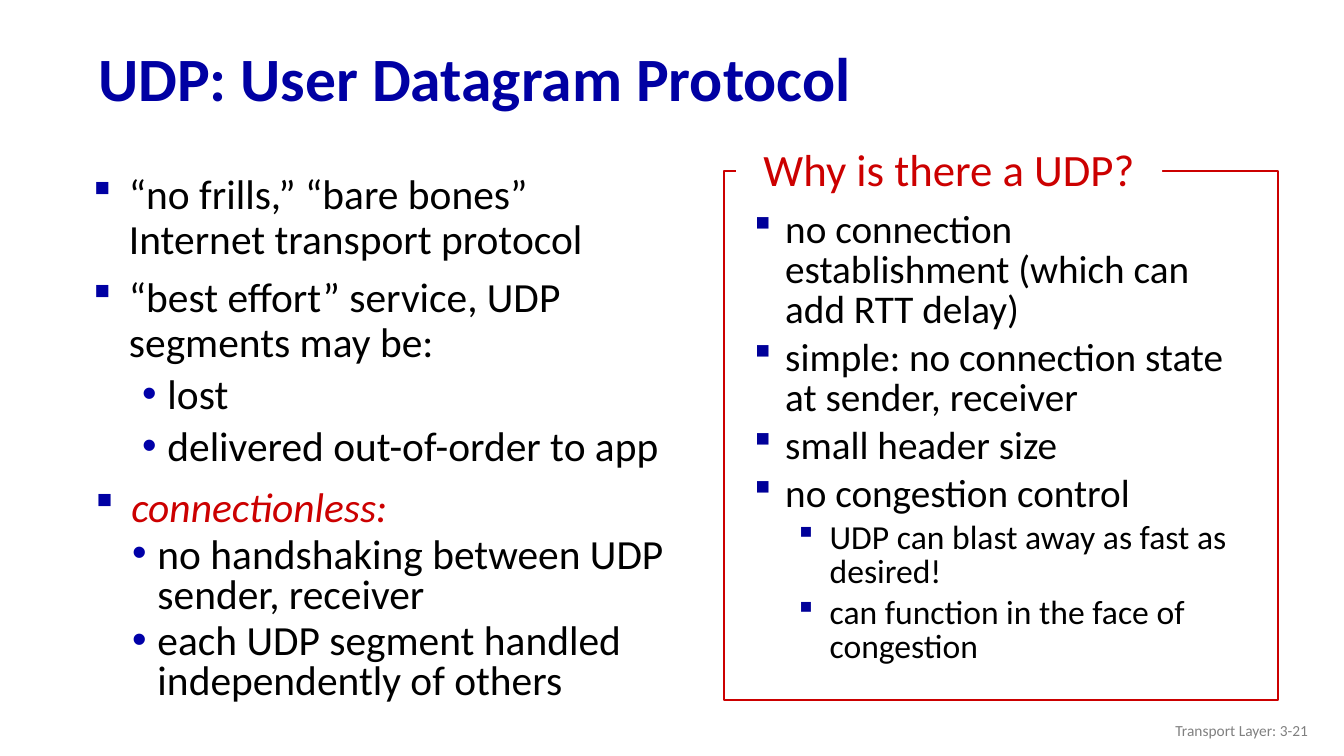
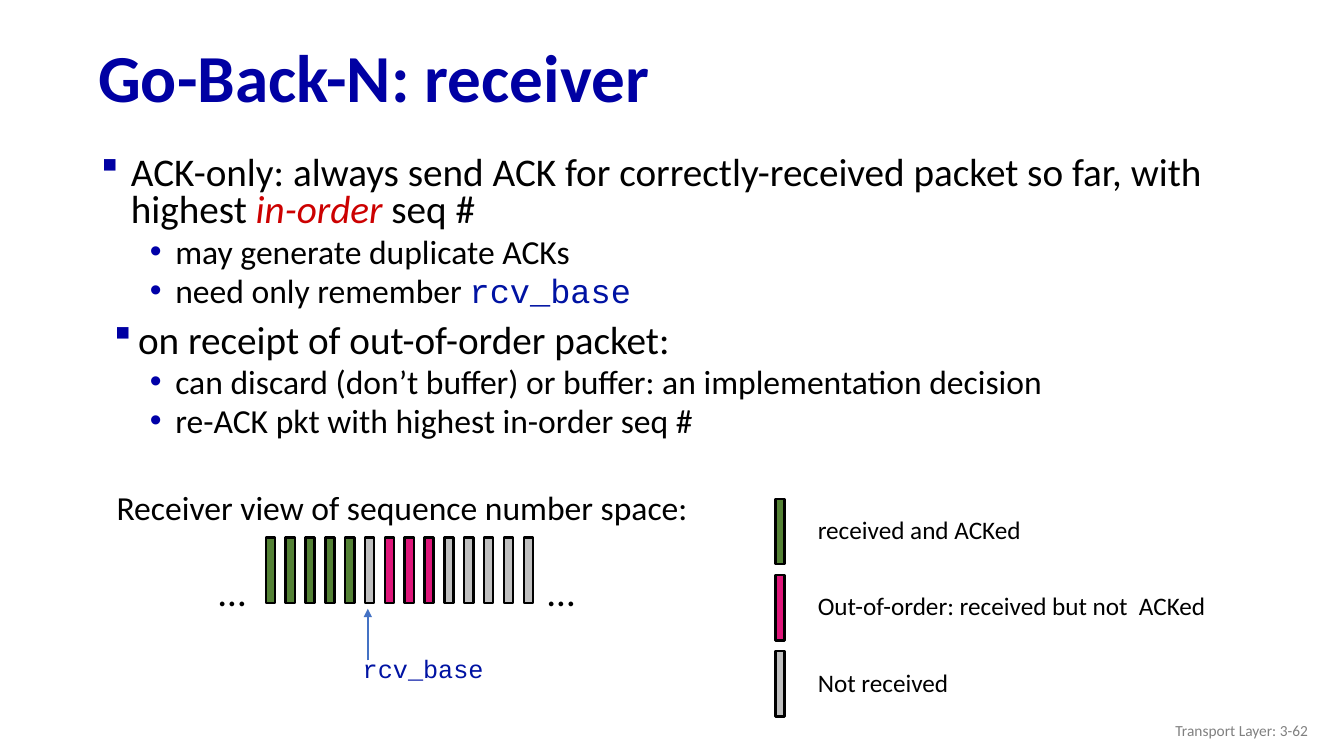
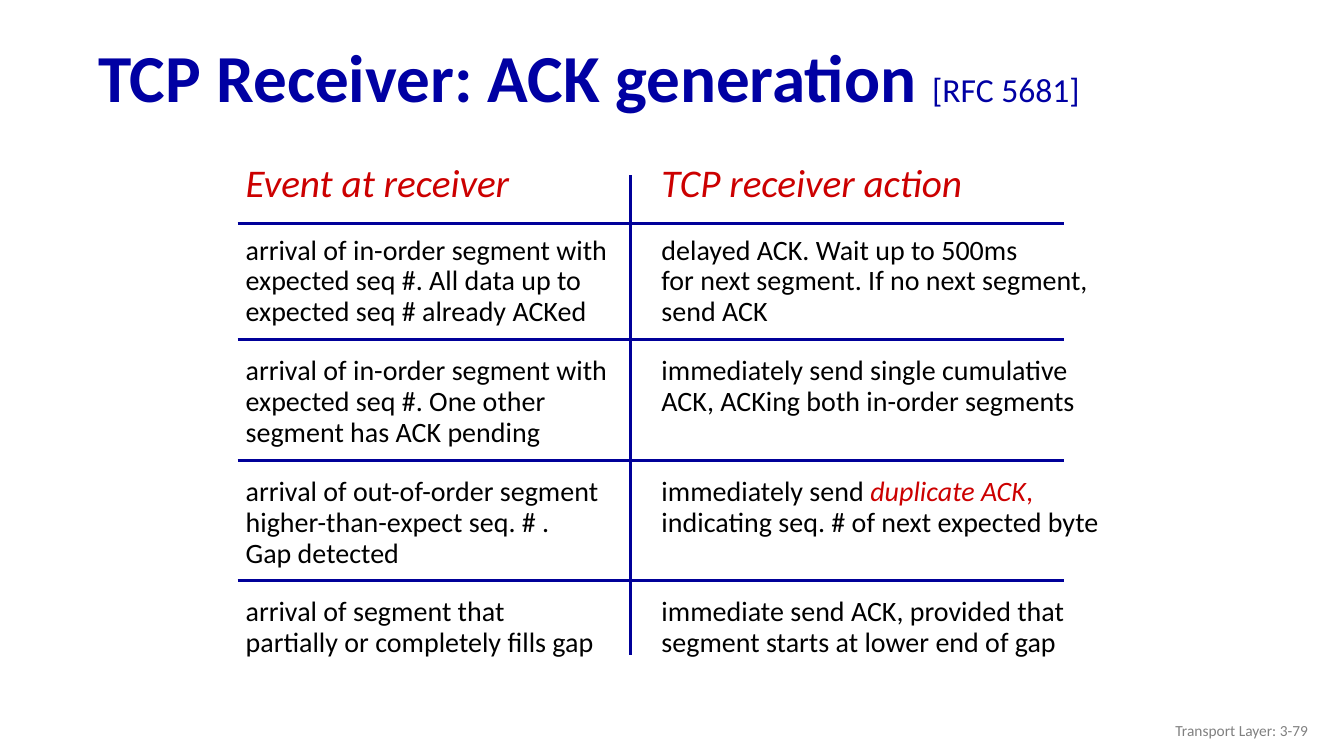
from dataclasses import dataclass

from lxml import etree
from pptx import Presentation
from pptx.dml.color import RGBColor
from pptx.enum import shapes as es, text as et
from pptx.oxml.ns import qn
from pptx.util import Cm, Pt

# Shared look
NAVY = RGBColor(0x00, 0x00, 0xA3)
BULLET_BLUE = RGBColor(0x00, 0x00, 0xA8)
RULE_BLUE = RGBColor(0x00, 0x00, 0x99)
CODE_BLUE = RGBColor(0x00, 0x13, 0xA3)
ARROW_BLUE = RGBColor(0x44, 0x72, 0xC4)
RED = RGBColor(0xCC, 0x00, 0x00)
GREEN = RGBColor(0x54, 0x82, 0x35)
PINK = RGBColor(0xDF, 0x16, 0x7A)
SILVER = RGBColor(0xBF, 0xBF, 0xBF)
GREY = RGBColor(0x80, 0x80, 0x80)
BLACK = RGBColor(0x00, 0x00, 0x00)
WHITE = RGBColor(0xFF, 0xFF, 0xFF)
BODY_FONT = "Calibri"
CODE_FONT = "Courier New"
# Bullet signs with their fonts; § is the small square in Wingdings
SQUARE = ("§", "Wingdings")
DOT = ("•", "Arial")


@dataclass(frozen=True)
class Span:
    text: str
    size: float
    color: RGBColor = BLACK
    italic: bool = False
    bold: bool = False
    font: str = BODY_FONT


@dataclass(frozen=True)
class Bullet:
    """Bullet sign and spacing; left and hang are in cm, before in points."""
    sign: tuple[str, str]
    color: RGBColor
    left: float
    hang: float
    level: int
    before: float
    spacing: float


@dataclass(frozen=True)
class Item:
    bullet: Bullet
    spans: list[Span]


@dataclass(frozen=True)
class Box:
    """Position and size in cm."""
    left: float
    top: float
    width: float
    height: float

    def lengths(self) -> tuple[Cm, Cm, Cm, Cm]:
        return Cm(self.left), Cm(self.top), Cm(self.width), Cm(self.height)


@dataclass(frozen=True)
class LegendEntry:
    color: RGBColor
    label: str


@dataclass(frozen=True)
class TableRow:
    """One event and its action; height and the gap above the text are in cm."""
    height: float
    gap: float
    event: list[list[Span]]
    action: list[list[Span]]


# Text
def write_spans(paragraph, spans: list[Span], spacing: float | None = None) -> None:
    paragraph.text = spans[0].text
    for span in spans[1:]:
        paragraph.add_run().text = span.text
    for run, span in zip(paragraph.runs, spans):
        run.font.name, run.font.size = span.font, Pt(span.size)
        run.font.bold, run.font.italic = span.bold, span.italic
        run.font.color.rgb = span.color
    if spacing:
        paragraph.line_spacing = spacing


def set_bullet(paragraph, bullet: Bullet) -> None:
    paragraph.level = bullet.level
    paragraph.space_before = Pt(bullet.before)
    props = paragraph._p.get_or_add_pPr()
    props.set("marL", str(Cm(bullet.left)))
    props.set("indent", str(-Cm(bullet.hang)))
    color = etree.SubElement(props, qn("a:buClr"))
    etree.SubElement(color, qn("a:srgbClr")).set("val", str(bullet.color))
    sign, font = bullet.sign
    etree.SubElement(props, qn("a:buFont")).set("typeface", font)
    etree.SubElement(props, qn("a:buChar")).set("char", sign)


def add_list(slide, box: Box, items: list[Item]) -> None:
    frame = slide.shapes.add_textbox(*box.lengths()).text_frame
    frame.word_wrap = True
    for index, item in enumerate(items):
        paragraph = frame.add_paragraph() if index else frame.paragraphs[0]
        write_spans(paragraph, item.spans, item.bullet.spacing)
        set_bullet(paragraph, item.bullet)


def add_label(slide, box: Box, span: Span):
    frame = slide.shapes.add_textbox(*box.lengths()).text_frame
    frame.word_wrap = False
    write_spans(frame.paragraphs[0], [span])
    return frame


# Shapes
def add_rect(slide, box: Box, fill: RGBColor | None, line: RGBColor | None,
             width: float = 1.75):
    rect = slide.shapes.add_shape(es.MSO_SHAPE.RECTANGLE, *box.lengths())
    rect.shadow.inherit = False
    if fill is None:
        rect.fill.background()
    else:
        rect.fill.solid()
        rect.fill.fore_color.rgb = fill
    if line is None:
        rect.line.fill.background()
    else:
        rect.line.color.rgb = line
        rect.line.width = Pt(width)
    return rect


def add_packet(slide, left: float, top: float, color: RGBColor) -> None:
    add_rect(slide, Box(left, top, 0.23, 1.65), color, BLACK)


def add_line(slide, start: tuple[float, float], end: tuple[float, float],
             color: RGBColor, width: float, arrow: bool = False) -> None:
    line = slide.shapes.add_connector(
        es.MSO_CONNECTOR.STRAIGHT, *(Cm(value) for value in (*start, *end)))
    line.line.color.rgb = color
    line.line.width = Pt(width)
    if arrow:
        etree.SubElement(line.line._get_or_add_ln(), qn("a:tailEnd")).set("type", "triangle")
    etree.SubElement(line._element.spPr, qn("a:effectLst"))


# Slide with title and footer
def new_slide(prs, title_spans: list[Span], number: str):
    slide = prs.slides.add_slide(prs.slide_layouts[5])
    title = slide.shapes.title
    title.left, title.top, title.width, title.height = Box(2.22, 0.8, 30.84, 2.49).lengths()
    frame = title.text_frame
    frame.auto_size = et.MSO_AUTO_SIZE.NONE
    frame.vertical_anchor = et.MSO_ANCHOR.MIDDLE
    write_spans(frame.paragraphs[0], title_spans, 0.9)
    frame.paragraphs[0].alignment = et.PP_ALIGN.LEFT

    footer = add_label(slide, Box(25.6, 17.9, 7.62, 1.02),
                       Span(f"Transport Layer: {number}", 11, GREY))
    footer.word_wrap = True
    footer.vertical_anchor = et.MSO_ANCHOR.MIDDLE
    footer.paragraphs[0].alignment = et.PP_ALIGN.RIGHT
    return slide


def udp_slide(prs) -> None:
    slide = new_slide(prs, [Span("UDP: User Datagram Protocol", 44, NAVY, bold=True)], "3-21")

    # What UDP is
    point = Bullet(SQUARE, NAVY, 1.27, 0.91, 0, 10, 0.9)
    detail = Bullet(DOT, BULLET_BLUE, 2.24, 0.64, 1, 5, 0.9)
    add_list(slide, Box(1.73, 4.25, 15.42, 8.13), [
        Item(bullet, [Span(words, 29.6)]) for bullet, words in (
            (point, "“no frills,” “bare bones” Internet transport protocol"),
            (point, "“best effort” service, UDP segments may be:"),
            (detail, "lost"),
            (detail, "delivered out-of-order to app"))])

    tight_point = Bullet(SQUARE, NAVY, 1.27, 0.91, 0, 10, 0.8)
    tight_detail = Bullet(DOT, BULLET_BLUE, 1.93, 0.64, 1, 5, 0.8)
    add_list(slide, Box(1.79, 12.24, 15.42, 5.72), [
        Item(tight_point, [Span("connectionless:", 29.6, RED, italic=True)]),
        Item(tight_detail, [Span("no handshaking between UDP sender, receiver", 29.6)]),
        Item(tight_detail, [Span("each UDP segment handled independently of others", 29.6)])])

    # Reasons, in a red frame with its heading set into the top edge
    reason = Bullet(SQUARE, RULE_BLUE, 0.79, 0.79, 0, 5.6, 0.85)
    effect = Bullet(SQUARE, RULE_BLUE, 1.91, 0.79, 1, 4.8, 0.85)
    add_list(slide, Box(18.75, 5.21, 12.78, 11.07), [
        Item(bullet, [Span(words, size)]) for bullet, size, words in (
            (reason, 28, "no connection establishment (which can add RTT delay)"),
            (reason, 28, "simple: no connection state at sender, receiver"),
            (reason, 28, "small header size"),
            (reason, 28, "no congestion control"),
            (effect, 24, "UDP can blast away as fast as desired!"),
            (effect, 24, "can function in the face of congestion"))])
    add_rect(slide, Box(18.24, 4.32, 13.97, 13.33), None, RED, 1.5)
    heading = add_rect(slide, Box(18.55, 3.71, 10.74, 1.37), WHITE, None).text_frame
    heading.vertical_anchor = et.MSO_ANCHOR.TOP
    write_spans(heading.paragraphs[0], [Span("Why is there a UDP?", 32, RED)], 0.8)
    heading.paragraphs[0].alignment = et.PP_ALIGN.CENTER
    heading.paragraphs[0].space_before = Pt(6.4)


def go_back_n_slide(prs) -> None:
    slide = new_slide(prs, [Span("Go-Back-N: receiver", 48, NAVY, bold=True)], "3-62")

    # Rules for the receiver
    ack_rule = Bullet(SQUARE, NAVY, 0.81, 0.76, 0, 10, 0.8)
    disorder_rule = Bullet(SQUARE, NAVY, 0.99, 0.61, 0, 10, 0.8)
    detail = Bullet(DOT, BULLET_BLUE, 1.93, 0.64, 1, 5, 0.8)
    add_list(slide, Box(2.24, 3.81, 28.65, 7.92), [
        Item(ack_rule, [
            Span("ACK-only: always send ACK for correctly-received packet so far, "
                 "with highest ", 28),
            Span("in-order", 28, RED, italic=True),
            Span(" seq #", 28)]),
        Item(detail, [Span("may generate duplicate ACKs", 24)]),
        Item(detail, [Span("need only remember ", 24),
                      Span("rcv_base", 24, CODE_BLUE, font=CODE_FONT)]),
        Item(disorder_rule, [Span("on receipt of out-of-order packet:", 28)]),
        Item(detail, [Span("can discard (don’t buffer) or buffer: "
                           "an implementation decision", 24)]),
        Item(detail, [Span("re-ACK pkt with highest in-order seq #", 24)])])

    # Sequence number space
    add_label(slide, Box(2.69, 12.14, 15.06, 1.27),
              Span("Receiver view of sequence number space:", 24))
    packets = [GREEN] * 5 + [SILVER] + [PINK] * 3 + [SILVER] * 5
    for index, color in enumerate(packets):
        add_packet(slide, 6.7 + 0.5 * index, 13.55, color)
    for ellipsis_left in (5.26, 13.55):
        add_label(slide, Box(ellipsis_left, 14.17, 1.19, 1.45), Span("…", 28))
    add_label(slide, Box(8.89, 16.33, 3.58, 1.02),
              Span("rcv_base", 18, CODE_BLUE, font=CODE_FONT))
    add_line(slide, (9.27, 16.64), (9.27, 15.34), ARROW_BLUE, 1.75, arrow=True)

    # Legend
    legend = [LegendEntry(GREEN, "received and ACKed"),
              LegendEntry(PINK, "Out-of-order: received but not  ACKed"),
              LegendEntry(SILVER, "Not received")]
    for index, entry in enumerate(legend):
        top = 12.57 + 1.92 * index
        add_packet(slide, 19.54, top, entry.color)
        add_label(slide, Box(20.36, top + 0.27, 10.39, 1.02), Span(entry.label, 18))


def body_lines(*lines: str) -> list[list[Span]]:
    return [[Span(line, 20)] for line in lines]


def column_heading(words: str) -> list[list[Span]]:
    return [[Span(words, 28, RED, italic=True)]]


def ack_generation_slide(prs) -> None:
    slide = new_slide(prs, [Span("TCP Receiver: ACK generation ", 48, NAVY, bold=True),
                            Span("[RFC 5681]", 24, NAVY)], "3-79")
    rows = [
        TableRow(1.53, 0, column_heading("Event at receiver"),
                 column_heading("TCP receiver action")),
        TableRow(2.92, 0.29,
                 body_lines("arrival of in-order segment with",
                            "expected seq #. All data up to",
                            "expected seq # already ACKed"),
                 body_lines("delayed ACK. Wait up to 500ms",
                            "for next segment. If no next segment,",
                            "send ACK")),
        TableRow(3.05, 0.41,
                 body_lines("arrival of in-order segment with",
                            "expected seq #. One other",
                            "segment has ACK pending"),
                 body_lines("immediately send single cumulative",
                            "ACK, ACKing both in-order segments")),
        TableRow(3.02, 0.41,
                 body_lines("arrival of out-of-order segment",
                            "higher-than-expect seq. # .",
                            "Gap detected"),
                 [[Span("immediately send ", 20),
                   Span("duplicate ACK", 20, RED, italic=True),
                   Span(",", 20, RED)],
                  *body_lines("indicating seq. # of next expected byte")]),
        TableRow(2.4, 0.41,
                 body_lines("arrival of segment that",
                            "partially or completely fills gap"),
                 body_lines("immediate send ACK, provided that",
                            "segment starts at lower end of gap")),
    ]
    left, top = 5.99, 4.11
    widths, left_margins = (9.89, 11.94), (0.2, 0.79)
    box = Box(left, top, sum(widths), sum(row.height for row in rows))
    table = slide.shapes.add_table(len(rows), len(widths), *box.lengths()).table
    table.first_row = table.horz_banding = False
    for column, width in zip(table.columns, widths):
        column.width = Cm(width)

    for row_index, row in enumerate(rows):
        table.rows[row_index].height = Cm(row.height)
        for column_index, lines in enumerate((row.event, row.action)):
            cell = table.cell(row_index, column_index)
            cell.margin_left = Cm(left_margins[column_index])
            cell.margin_top = Cm(row.gap)
            cell.margin_right = cell.margin_bottom = Cm(0)
            cell.fill.background()
            frame = cell.text_frame
            for line_index, spans in enumerate(lines):
                paragraph = frame.add_paragraph() if line_index else frame.paragraphs[0]
                write_spans(paragraph, spans, 0.9)

    # Rules between the columns and below each row but the last
    divider = left + widths[0]
    add_line(slide, (divider, 4.42), (divider, 16.51), RULE_BLUE, 2.25)
    rule_y = top
    for row in rows[:-1]:
        rule_y += row.height
        add_line(slide, (left, rule_y), (left + 20.83, rule_y), RULE_BLUE, 2.25)


def main() -> None:
    prs = Presentation()
    prs.slide_width, prs.slide_height = Cm(33.87), Cm(19.05)
    udp_slide(prs)
    go_back_n_slide(prs)
    ack_generation_slide(prs)
    prs.save("out.pptx")


if __name__ == "__main__":
    main()
